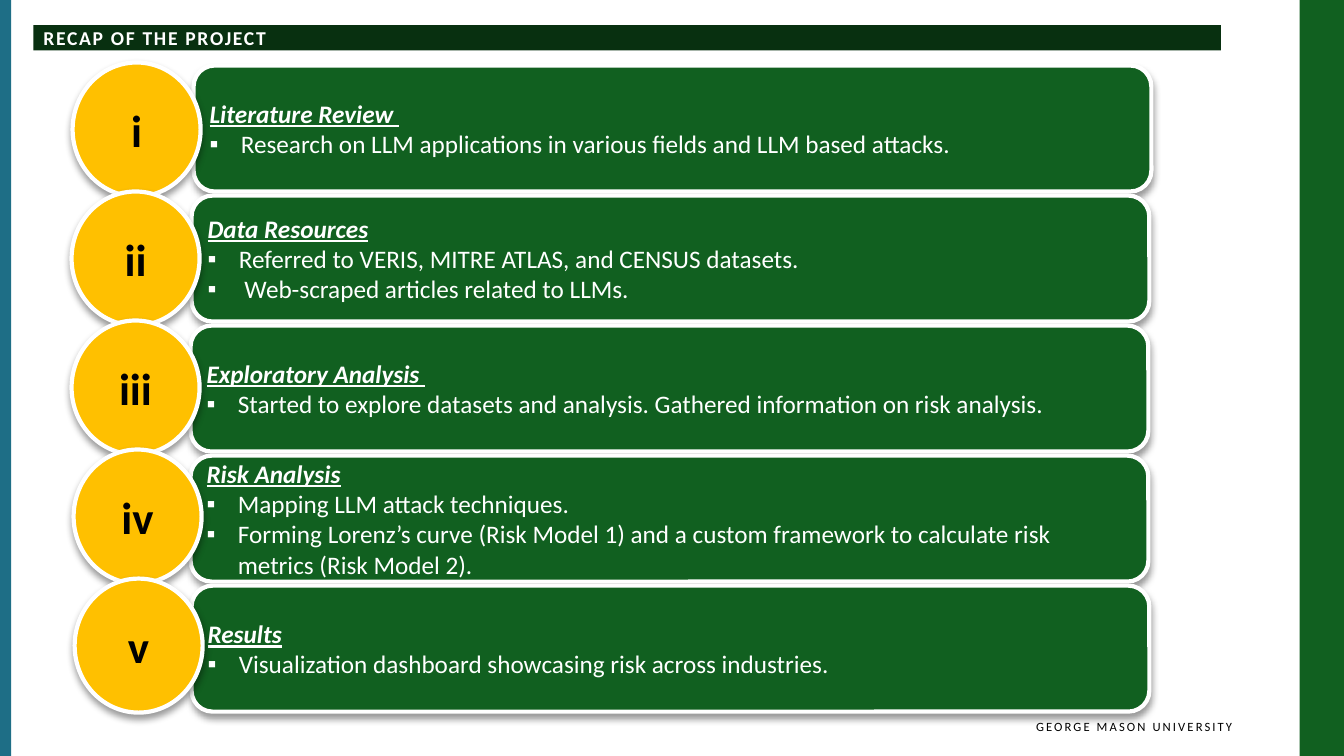
"""Build the project recap slide with five numbered stages."""
from lxml.etree import SubElement
from pptx import Presentation
from pptx.dml.color import RGBColor
from pptx.enum.shapes import MSO_SHAPE
from pptx.enum.text import MSO_ANCHOR, PP_ALIGN
from pptx.oxml.ns import qn
from pptx.util import Inches, Pt

GREEN, DARK_GREEN, TEAL, GOLD = "116020", "083010", "1E6E86", "FFC000"
WHITE, BLACK = "FFFFFF", "000000"
CARD_TOP, CARD_STEP = 0.65, 1.29
CIRCLE_TOP, CIRCLE_STEP = 0.62, 1.28

STAGES = [
    ("i", 1.92, 0.72, "Literature Review ",
     ["Research on LLM applications in various fields and LLM based attacks."]),
    ("ii", 1.9, 0.71, "Data Resources",
     ["Referred to VERIS, MITRE ATLAS, and CENSUS datasets.",
      " Web-scraped articles related to LLMs."]),
    ("iii", 1.89, 0.71, "Exploratory Analysis ",
     ["Started to explore datasets and analysis. Gathered information on risk analysis."]),
    ("iv", 1.89, 0.73, "Risk Analysis",
     ["Mapping LLM attack techniques.",
      "Forming Lorenz’s curve (Risk Model 1) and a custom framework to calculate "
      "risk metrics (Risk Model 2)."]),
    ("v", 1.9, 0.74, "Results",
     ["Visualization dashboard showcasing risk across industries."]),
]


def paint(fill, color):
    """Make a shape, line or font fill solid in a hex colour."""
    fill.solid()
    fill.fore_color.rgb = RGBColor.from_string(color)


def add_text(paragraph, text, size, color, bold=False, spacing=0):
    """Add one formatted run and return its font."""
    run = paragraph.add_run()
    run.text = text
    font = run.font
    font.name, font.size, font.bold = "Calibri", Pt(size), bold
    paint(font.fill, color)
    if spacing:
        run._r.get_or_add_rPr().set("spc", str(round(spacing * 100)))
    return font


presentation = Presentation()
presentation.slide_width = Inches(13.33)
presentation.slide_height = Inches(7.5)
slide = presentation.slides.add_slide(presentation.slide_layouts[5])
shapes = slide.shapes

for left, width, color in [(12.89, 0.44, GREEN), (0, 0.11, TEAL)]:
    stripe = shapes.add_shape(MSO_SHAPE.RECTANGLE, Inches(left), 0,
                              Inches(width), presentation.slide_height)
    stripe.shadow.inherit = False
    paint(stripe.fill, color)
    stripe.line.fill.background()

footer = shapes.add_textbox(Inches(6.78), Inches(7.08), Inches(5.44), Inches(0.33))
footer.text_frame.word_wrap = True
footer.text_frame.margin_right = 0
footer_paragraph = footer.text_frame.paragraphs[0]
footer_paragraph.alignment = PP_ALIGN.RIGHT
add_text(footer_paragraph, "GEORGE MASON UNIVERSITY", 9, BLACK, spacing=1.5)

title = shapes.title
title.left, title.top = Inches(0.33), Inches(0.25)
title.width, title.height = Inches(11.78), Inches(0.25)
paint(title.fill, DARK_GREEN)
title_frame = title.text_frame
title_frame.margin_top = title_frame.margin_bottom = 0
title_frame.vertical_anchor = MSO_ANCHOR.MIDDLE
title_paragraph = title_frame.paragraphs[0]
title_paragraph.alignment = PP_ALIGN.LEFT
add_text(title_paragraph, "RECAP OF THE PROJECT", 14, WHITE, bold=True, spacing=1.2)

for row, (numeral, card_left, circle_left, heading, points) in enumerate(STAGES):
    card = shapes.add_shape(MSO_SHAPE.ROUNDED_RECTANGLE, Inches(card_left),
                            Inches(CARD_TOP + row * CARD_STEP), Inches(9.5), Inches(1.25))
    circle = shapes.add_shape(MSO_SHAPE.FLOWCHART_CONNECTOR, Inches(circle_left),
                              Inches(CIRCLE_TOP + row * CIRCLE_STEP), Inches(1.27), Inches(1.33))

    for shape, color in [(card, GREEN), (circle, GOLD)]:
        paint(shape.fill, color)
        paint(shape.line.fill, WHITE)
        shape.line.width = Pt(3)
        shape.shadow.inherit = False
        effects = shape._element.spPr.find(qn("a:effectLst"))
        shadow = SubElement(effects, qn("a:outerShdw"), blurRad=str(Pt(5.2)),
                            dist=str(Pt(3)), dir="5400000", rotWithShape="0")
        shadow_color = SubElement(shadow, qn("a:srgbClr"), val=BLACK)
        SubElement(shadow_color, qn("a:alpha"), val="40000")
        shape.text_frame.word_wrap = True
        shape.text_frame.vertical_anchor = MSO_ANCHOR.MIDDLE

    heading_paragraph = card.text_frame.paragraphs[0]
    heading_paragraph.alignment = PP_ALIGN.LEFT
    heading_font = add_text(heading_paragraph, heading, 18, WHITE, bold=True)
    heading_font.italic = heading_font.underline = True

    for point in points:
        paragraph = card.text_frame.add_paragraph()
        paragraph.alignment = PP_ALIGN.LEFT
        properties = paragraph._p.get_or_add_pPr()
        properties.set("marL", str(Inches(0.31)))
        properties.set("indent", str(-Inches(0.31)))
        SubElement(properties, qn("a:buFont"), typeface="Arial")
        SubElement(properties, qn("a:buChar"), char="▪")
        add_text(paragraph, point, 18, WHITE)

    numeral_paragraph = circle.text_frame.paragraphs[0]
    numeral_paragraph.alignment = PP_ALIGN.CENTER
    add_text(numeral_paragraph, numeral, 32, BLACK, bold=True)

presentation.save("out.pptx")
